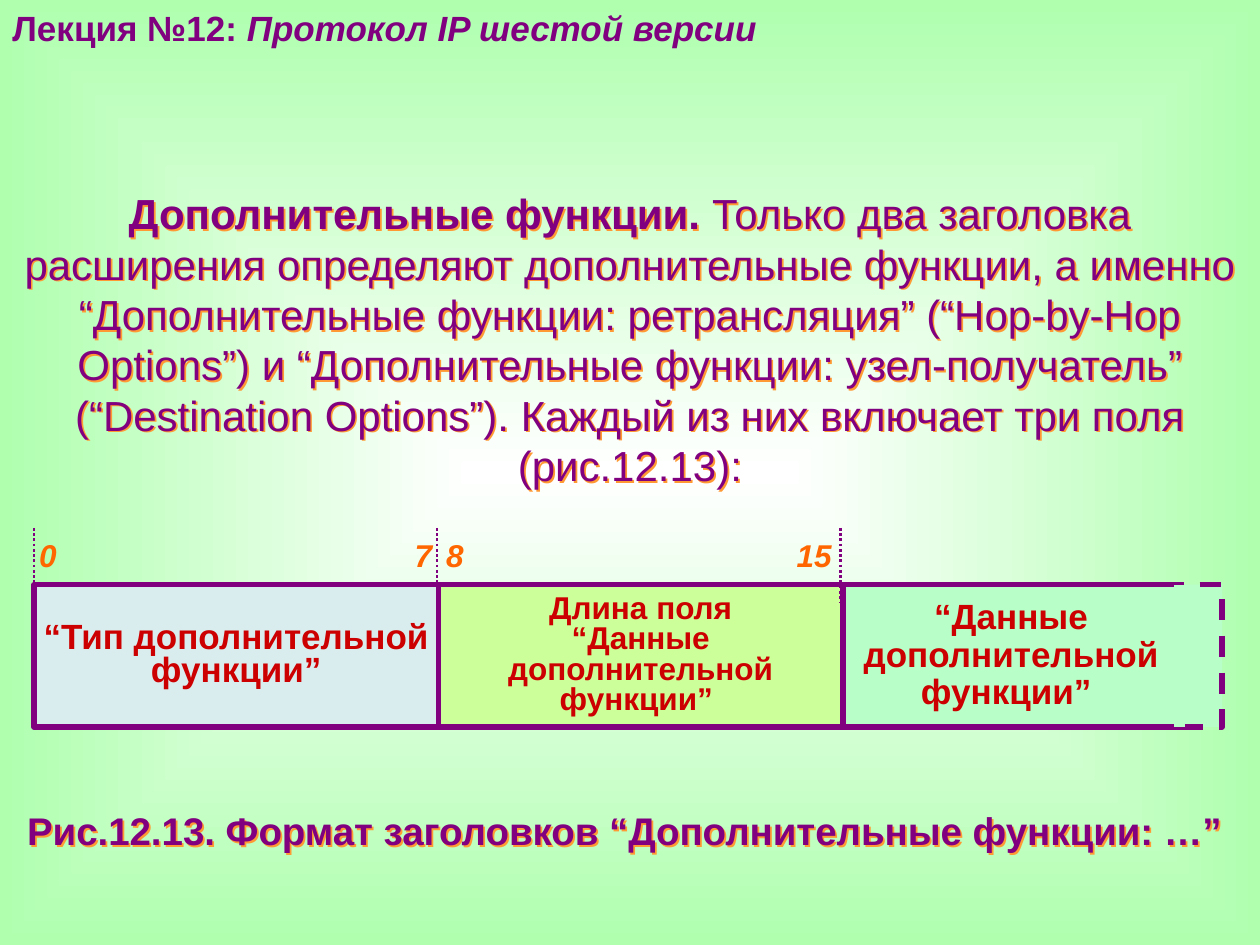
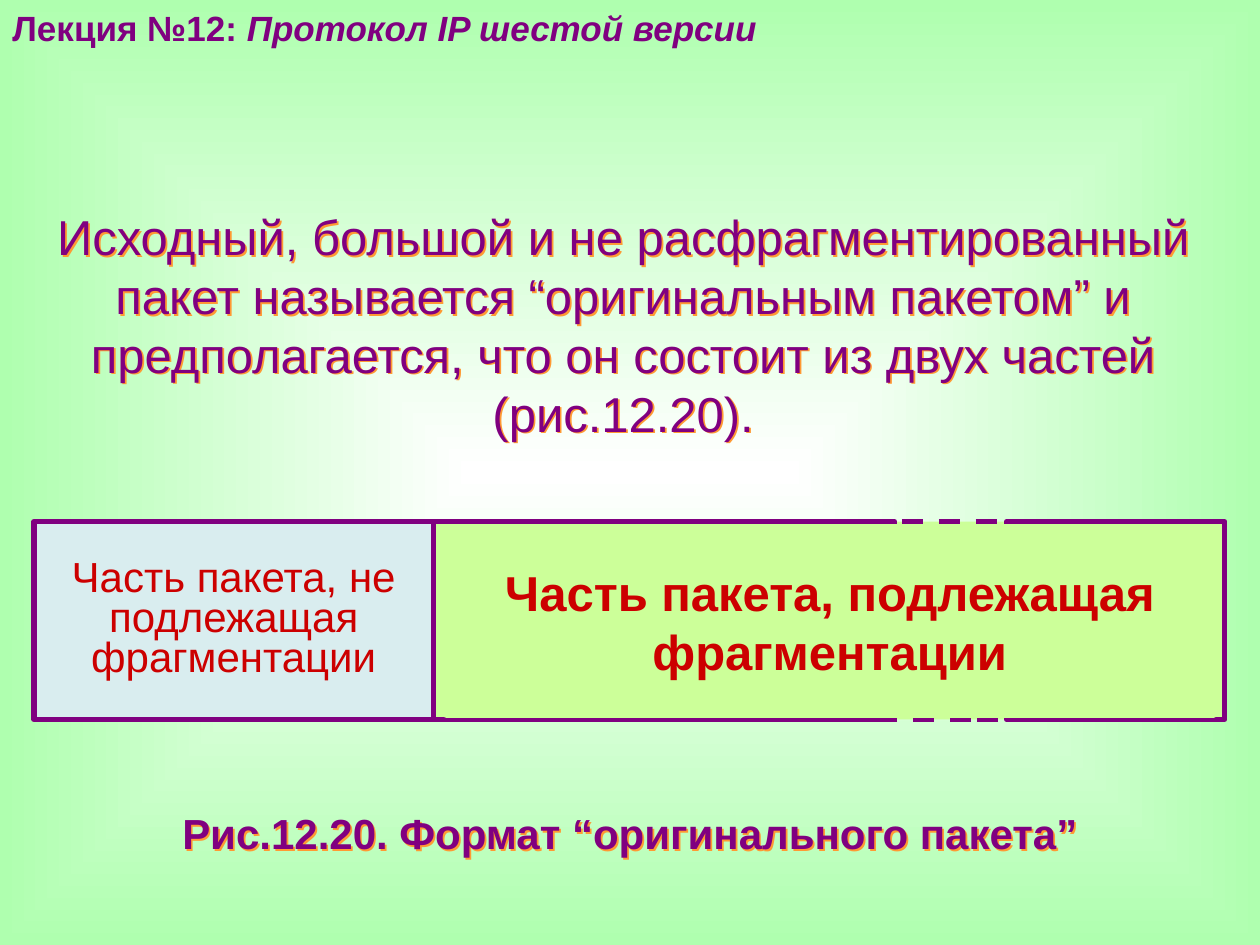
"""Build two slides on IPv6 header and packet formats."""
from lxml.etree import SubElement as Sub
from pptx import Presentation
from pptx.dml.color import RGBColor as RGB
from pptx.enum.dml import MSO_LINE as Dash
from pptx.enum.shapes import MSO_CONNECTOR as Conn, MSO_SHAPE as Kind
from pptx.enum.text import MSO_ANCHOR as Anchor, PP_ALIGN as Align
from pptx.oxml.ns import qn
from pptx.util import Inches, Pt

PLUM = RGB(0x80, 0x00, 0x80)
RED = RGB(0xCC, 0x00, 0x00)
FIRE = RGB(0xFF, 0x66, 0x00)
GLOW = RGB(0xFF, 0x99, 0x33)
ICE = RGB(0xD9, 0xED, 0xEF)
LIME = RGB(0xCC, 0xFF, 0x99)
MINT = RGB(0xB8, 0xFE, 0xC9)
LEAF = RGB(0xAF, 0xFF, 0xAF)
WHITE = RGB(0xFF, 0xFF, 0xFF)
COLS, ROWS = 100, 75
LEFT = 2.7


def paint(parent, color):
    Sub(parent, qn("a:srgbClr"), val=str(color))


class Deck:
    """Hold the shared style and the current slide."""

    def __init__(self):
        self.prs = Presentation()
        self.prs.slide_width, self.prs.slide_height = Inches(10), Inches(7.5)
        self.col = self.prs.slide_width / COLS
        self.row = self.prs.slide_height / ROWS
        self.slide = None
        self.back()

    def back(self):
        master = self.prs.slide_master
        master.background.fill.gradient()
        grad = master.element.find(".//" + qn("a:gradFill"))
        for old in list(grad):
            grad.remove(old)
        stops = Sub(grad, qn("a:gsLst"))
        for pos, color in (("0", WHITE), ("100000", LEAF)):
            paint(Sub(stops, qn("a:gs"), pos=pos), color)
        way = Sub(grad, qn("a:path"), path="shape")
        Sub(way, qn("a:fillToRect"), dict.fromkeys("ltrb", "50000"))

    def page(self):
        self.slide = self.prs.slides.add_slide(self.prs.slide_layouts[6])
        self.text((0, 0, 63.8, 4.3),
                  [["Лекция №12: ", ("Протокол IP шестой версии", {"italic": True})]],
                  20, align=Align.LEFT, bold=True)

    def spot(self, *nums):
        return [round(n * (self.row if i % 2 else self.col)) for i, n in enumerate(nums)]

    def words(self, frame, paras, size, color, bold=False, italic=False,
              align=Align.CENTER, gap=None, tab=None):
        frame.word_wrap = True
        base = {"name": "Arial", "size": Pt(size), "bold": bold, "italic": italic}
        for i, runs in enumerate(paras):
            para = frame.add_paragraph() if i else frame.paragraphs[0]
            para.alignment = align
            if gap:
                para.line_spacing = gap
            if tab:
                tabs = Sub(para._p.get_or_add_pPr(), qn("a:tabLst"))
                Sub(tabs, qn("a:tab"), pos=str(round(tab * self.col)), algn="r")
            for item in runs:
                part, more = (item, {}) if isinstance(item, str) else item
                run = para.add_run()
                run.text = part
                for key, val in {**base, **more}.items():
                    setattr(run.font, key, val)
                run.font.color.rgb = color

    def pad(self, frame, left=0):
        form = {"margin_left": round(left * self.col), "margin_right": 0, "margin_top": 0,
                "margin_bottom": 0, "vertical_anchor": Anchor.MIDDLE}
        for key, val in form.items():
            setattr(frame, key, val)

    def text(self, at, paras, size, color=PLUM, glow=False, **form):
        box = self.slide.shapes.add_textbox(*self.spot(*at))
        self.words(box.text_frame, paras, size, color, **form)
        if glow:
            fx = Sub(box._element.spPr, qn("a:effectLst"))
            paint(Sub(fx, qn("a:outerShdw"), dist="17961", dir="2700000"), GLOW)
        return box

    def bits(self, at, first, last, inset, tab):
        box = self.text(at, [[f"{first}\t{last}"]], 18, FIRE, bold=True, italic=True,
                        align=Align.LEFT, tab=tab)
        self.pad(box.text_frame, inset)

    def stroke(self, line, color, width, dash=None):
        line.color.rgb = color
        for key, val in {"width": Pt(width), "dash_style": dash}.items():
            setattr(line, key, val)

    def cell(self, at, fill, paras=(), size=20, edge=PLUM, width=3, dash=None, **form):
        box = self.slide.shapes.add_shape(Kind.RECTANGLE, *self.spot(*at))
        box.shadow.inherit = False
        box.fill.solid()
        box.fill.fore_color.rgb = fill
        self.stroke(box.line, edge, width, dash)
        self.pad(box.text_frame)
        self.words(box.text_frame, paras, size, RED, **form)

    def rule(self, x, top, end, color, width, dash=None):
        line = self.slide.shapes.add_connector(Conn.STRAIGHT, *self.spot(x, top, x, end))
        Sub(line._element.spPr, qn("a:effectLst"))
        self.stroke(line.line, color, width, dash)


def header(deck):
    deck.page()
    deck.text((0, 14.4, 100, 25), [[
        ("Дополнительные функции. ", {"bold": True}),
        "Только два заголовка расширения определяют дополнительные функции, а именно "
        "“Дополнительные функции: ретрансляция” (“Hop-by-Hop Options”) и “Дополнительные "
        "функции: узел-получатель” (“Destination Options”). Каждый из них включает три "
        "поля (рис.12.13):"]], 24, glow=True)
    deck.text((0, 63.6, 100, 4.7),
              [["Рис.12.13. Формат заголовков “Дополнительные функции: …” "]],
              22, glow=True, bold=True)
    top, high, wide, step, mark = 46.4, 11.3, 32.1, 32, 41.9
    data = "“Данные дополнительной функции” "
    fields = ((wide, ICE, [["“Тип дополнительной функции”"]], 20, 0.8),
              (wide, LIME, [["Длина поля"], [data]], 18, 0.8),
              (26.7, MINT, [[data]], 20, 0.9))
    for i, (span, fill, paras, size, gap) in enumerate(fields):
        deck.cell((LEFT + i * wide, top, span, high), fill, paras, size, bold=True, gap=gap)
    tail = LEFT + 2 * wide + 26.7
    deck.cell((tail, top, 3.4, high), MINT, dash=Dash.DASH)
    deck.rule(tail, top, top + high, MINT, 6)
    for i in range(3):
        deck.rule(LEFT + i * step, mark, 47.8, PLUM, 1.5, Dash.ROUND_DOT)
    for i, (first, last, inset, tab) in enumerate(((0, 7, 0.4, 31.2), (8, 15, 0.7, 30.6))):
        deck.bits((LEFT + i * step, mark, step, 4.2), first, last, inset, tab)


def packet(deck):
    deck.page()
    deck.text((0, 63.6, 100, 5), [["Рис.12.20. Формат “оригинального пакета”"]],
              24, glow=True, bold=True)
    top, high = 41.4, 15.7
    deck.cell((66.1, top, 21.9, high), LIME, dash=Dash.DASH)
    deck.cell((LEFT, top, 31.7, high), ICE,
              [["Часть пакета, не подлежащая фрагментации"]], 24, gap=0.8)
    for x, span in ((34.4, 36.6), (79.9, 17.3)):
        deck.cell((x, top, span, high), LIME)
    deck.cell((35.4, top + 0.5, 60.9, high - 0.9), LIME,
              [["Часть пакета, подлежащая фрагментации"]], 28, edge=LIME, width=4, bold=True)
    deck.text((LEFT, 15.9, 93.5, 19.7), [[
        "Исходный, большой и не расфрагментированный пакет называется “оригинальным "
        "пакетом” и предполагается, что он состоит из двух частей (рис.12.20)."]],
        28, glow=True)


def main():
    deck = Deck()
    header(deck)
    packet(deck)
    deck.prs.save("out.pptx")


if __name__ == "__main__":
    main()
